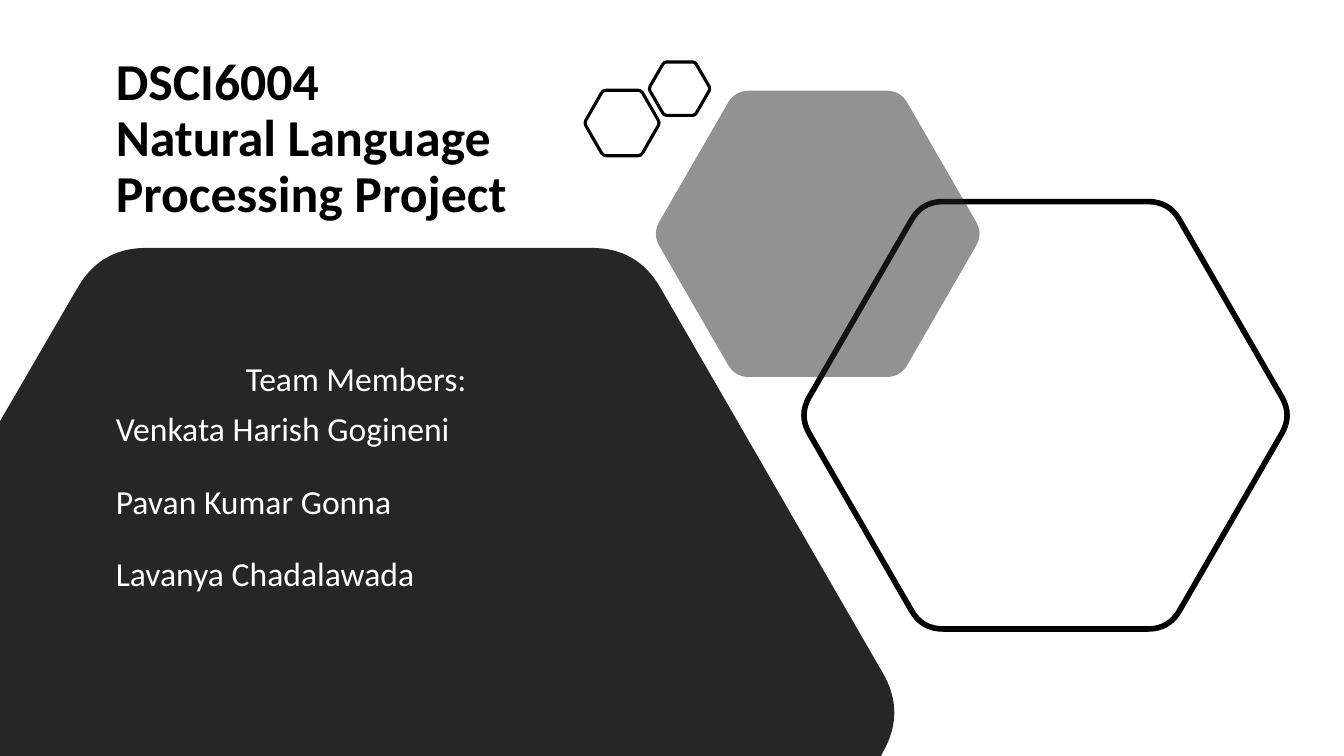
from math import cos, radians, sin, sqrt

from lxml import etree
from pptx import Presentation
from pptx.dml.color import RGBColor
from pptx.enum.text import MSO_ANCHOR
from pptx.oxml.ns import qn
from pptx.util import Inches, Pt

COLORS = {"ink": "000000", "charcoal": "262626", "white": "FFFFFF"}
UNITS = 1000  # freeform units per inch
ROUNDING = 0.085  # part of each hexagon side taken up by a corner


def toward(start, end, part):
    return tuple(a + (b - a) * part for a, b in zip(start, end))


def hexagon_corners(center_x, center_y, height):
    """Corners clockwise from top left, each as entry, middle and leaving point."""
    side = height / sqrt(3)
    angles = [radians(240 + 60 * i) for i in range(6)]
    vertices = [(center_x + side * cos(a), center_y + side * sin(a)) for a in angles]
    corners = []
    for i, vertex in enumerate(vertices):
        entry = toward(vertex, vertices[i - 1], ROUNDING)
        leave = toward(vertex, vertices[(i + 1) % 6], ROUNDING)
        middle = toward(toward(entry, leave, 0.5), vertex, 0.5)
        corners.append((entry, middle, leave))
    return corners


def round_corners(path, count):
    """Turn the two lines of each corner into one curve."""
    segments = list(path)
    for i in range(count):
        corner = segments[3 * i:3 * i + 3]
        entry, middle, leave = [
            (int(segment[0].get("x")), int(segment[0].get("y"))) for segment in corner]
        vertex = toward(toward(entry, leave, 0.5), middle, 2)
        curve = etree.Element(qn("a:cubicBezTo"))
        for x, y in (toward(entry, vertex, 2 / 3), toward(leave, vertex, 2 / 3), leave):
            etree.SubElement(curve, qn("a:pt"), x=str(round(x)), y=str(round(y)))
        path.replace(corner[1], curve)
        path.remove(corner[2])


class SlideBuilder:
    font = "Calibri"
    line_spacing = 0.9

    def __init__(self, slide):
        self.slide = slide

    def color(self, name):
        return RGBColor.from_string(COLORS[name])

    def outline(self, corners, sharp=(), fill=None, alpha=None, line=None, width=0):
        """Closed outline of rounded corners followed by sharp points."""
        points = [point for corner in corners for point in corner] + list(sharp)
        scaled = [(round(x * UNITS), round(y * UNITS)) for x, y in points]
        builder = self.slide.shapes.build_freeform(*scaled[0], scale=Inches(1) / UNITS)
        builder.add_line_segments(scaled[1:], close=True)
        shape = builder.convert_to_shape()
        round_corners(next(shape._element.iter(qn("a:path"))), len(corners))
        shape.shadow.inherit = False
        if fill:
            shape.fill.solid()
            shape.fill.fore_color.rgb = self.color(fill)
        else:
            shape.fill.background()
        if alpha:
            srgb = next(shape._element.spPr.iter(qn("a:srgbClr")))
            etree.SubElement(srgb, qn("a:alpha")).set("val", str(alpha * 1000))
        if line:
            shape.line.color.rgb = self.color(line)
            shape.line.width = Pt(width)
        else:
            shape.line.fill.background()

    def hexagon(self, center_x, center_y, height, **style):
        self.outline(hexagon_corners(center_x, center_y, height), **style)

    def text(self, box, paragraphs, size, color, bold=False,
             anchor=MSO_ANCHOR.TOP, margin_top=0.05):
        """Each paragraph is (text, space before in points, indent in inches)."""
        frame = self.slide.shapes.add_textbox(*map(Inches, box)).text_frame
        frame.word_wrap = True
        frame.vertical_anchor = anchor
        frame.margin_top = Inches(margin_top)
        for i, (text, before, indent) in enumerate(paragraphs):
            paragraph = frame.add_paragraph() if i else frame.paragraphs[0]
            paragraph.text = text
            paragraph.line_spacing = self.line_spacing
            paragraph.space_before = Pt(before)
            if indent:
                paragraph._p.get_or_add_pPr().set("marL", str(Inches(indent)))
            for run in paragraph.runs:
                run.font.name = self.font
                run.font.size = Pt(size)
                run.font.bold = bold
                run.font.color.rgb = self.color(color)


presentation = Presentation()
presentation.slide_width = Inches(13.33)
presentation.slide_height = Inches(7.5)
cover = SlideBuilder(presentation.slides.add_slide(presentation.slide_layouts[6]))

# Title
cover.text((1.05, 0.49, 4.68, 1.8),
           [("DSCI6004\vNatural Language Processing Project", 0, 0)],
           37, "ink", bold=True, anchor=MSO_ANCHOR.MIDDLE)

# Dark panel: a hexagon cut off by the left and bottom slide edges
cover.outline(hexagon_corners(3.66, 7.07, 9.22)[:3],
              sharp=[(8.74, 7.5), (0, 7.5), (0, 4.18)], fill="charcoal")

# Hexagon cluster
cover.hexagon(10.37, 4.12, 4.24, line="ink", width=4)
cover.hexagon(8.11, 2.32, 2.84, fill="charcoal", alpha=50)
cover.hexagon(6.17, 1.22, 0.65, line="ink", width=2.25)
cover.hexagon(6.74, 0.88, 0.53, line="ink", width=2.25)

# Team members
members = [("Team Members:", 0, 1.29),
           ("Venkata Harish Gogineni", 9.5, 0),
           ("Pavan Kumar Gonna", 26, 0),
           ("Lavanya Chadalawada", 26, 0)]
cover.text((1.05, 3.19, 5.19, 3.38), members, 24, "white", margin_top=0.41)

presentation.save("out.pptx")
